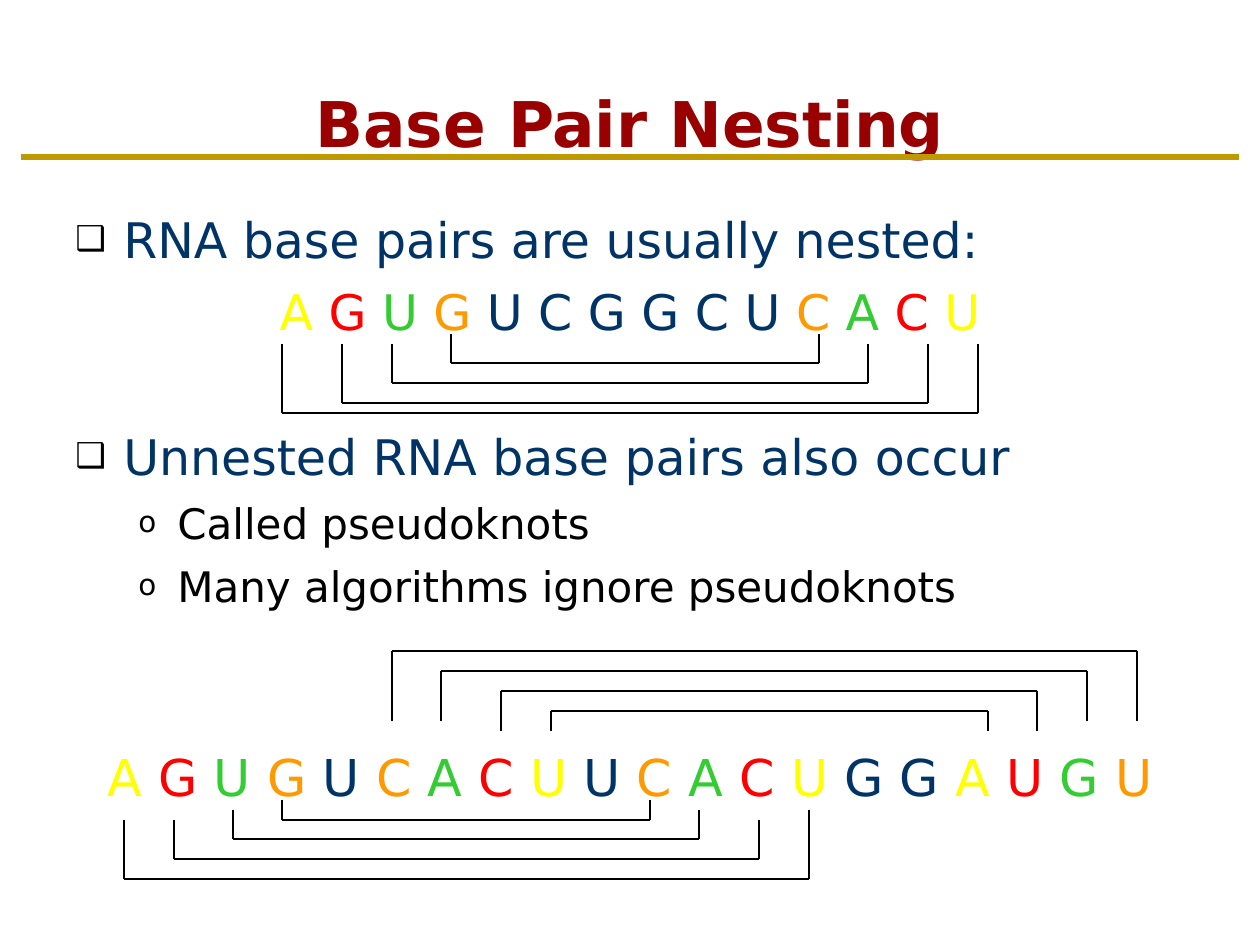
from dataclasses import dataclass

from lxml import etree
from pptx import Presentation
from pptx.dml.color import RGBColor
from pptx.enum import shapes, text
from pptx.oxml import ns
from pptx.util import Pt

PX = 914400 / 126
FONT = "DejaVu Sans"
BLACK = RGBColor(0x00, 0x00, 0x00)
NAVY = RGBColor(0x00, 0x33, 0x66)
MAROON = RGBColor(0x99, 0x00, 0x00)
GOLD = RGBColor(0xBE, 0x9A, 0x00)
HUES = {
    "Y": RGBColor(0xFF, 0xFF, 0x00),
    "R": RGBColor(0xFF, 0x00, 0x00),
    "G": RGBColor(0x33, 0xCC, 0x33),
    "O": RGBColor(0xFF, 0x99, 0x00),
    "N": NAVY,
}


@dataclass
class Pair:
    left: int
    right: int
    start: int
    bar: int
    end: int


@dataclass
class Item:
    words: str
    size: int
    gap: int
    color: RGBColor = NAVY
    mark: str = ""
    inset: int = 48
    hang: int = 48
    hues: str = ""


ITEMS = [
    Item("RNA base pairs are usually nested:", 28, 0, mark="❑"),
    Item("AGUGUCGGCUCACU", 28, 8, hues="YRGONNNNNNOGRY"),
    Item("Unnested RNA base pairs also occur", 28, 49, mark="❑"),
    Item("Called pseudoknots", 24, 7, BLACK, "o", 102, 39),
    Item("Many algorithms ignore pseudoknots", 24, 7, BLACK, "o", 102, 39),
    Item("AGUGUCACUUCACUGGAUGU", 29, 77, hues="YRGONOGRYNOGRYNNYRGO"),
]

PAIRS = [
    Pair(451, 819, 334, 363, 334),
    Pair(392, 868, 344, 383, 344),
    Pair(342, 928, 344, 403, 344),
    Pair(282, 978, 344, 413, 344),
    Pair(282, 650, 800, 820, 800),
    Pair(233, 699, 810, 839, 810),
    Pair(174, 759, 820, 859, 820),
    Pair(124, 809, 820, 879, 810),
    Pair(551, 988, 731, 711, 731),
    Pair(501, 1037, 731, 691, 731),
    Pair(441, 1087, 721, 671, 721),
    Pair(392, 1137, 721, 651, 721),
]


def px(n: int) -> int:
    return round(n * PX)


def place(shape, x: int, y: int, w: int, h: int) -> None:
    shape.left, shape.top, shape.width, shape.height = map(px, (x, y, w, h))


def set_frame(frame) -> None:
    frame.word_wrap = True
    frame.auto_size = text.MSO_AUTO_SIZE.NONE
    frame.vertical_anchor = text.MSO_ANCHOR.TOP


def add_run(para, words: str, size: int, color: RGBColor, bold: bool = False) -> None:
    run = para.add_run()
    run.text = words
    run.font.name = FONT
    run.font.size = Pt(size)
    run.font.bold = bold
    run.font.color.rgb = color


def add_mark(props, mark: str) -> None:
    hue = etree.SubElement(props, ns.qn("a:buClr"))
    etree.SubElement(hue, ns.qn("a:srgbClr"), val=str(BLACK))
    etree.SubElement(props, ns.qn("a:buSzPct"), val="70000")
    etree.SubElement(props, ns.qn("a:buFont"), typeface=FONT)
    etree.SubElement(props, ns.qn("a:buChar"), char=mark)


def add_item(para, item: Item) -> None:
    para.space_before = Pt(item.gap)
    props = para._p.get_or_add_pPr()
    props.set("marL", str(px(item.inset)))
    props.set("indent", str(-px(item.hang)))
    if item.mark:
        add_mark(props, item.mark)
    if item.hues:
        para.alignment = text.PP_ALIGN.CENTER
        last = len(item.words) - 1
        for i, (base, hue) in enumerate(zip(item.words, item.hues)):
            add_run(para, base + " " * (i < last), item.size, HUES[hue])
    else:
        add_run(para, item.words, item.size, item.color)


def add_line(tree, x: int, y: int, x2: int, y2: int, color: RGBColor, width: float) -> None:
    line = tree.add_connector(shapes.MSO_CONNECTOR.STRAIGHT, px(x), px(y), px(x2), px(y2))
    line.line.color.rgb = color
    line.line.width = Pt(width)
    etree.SubElement(line._element.spPr, ns.qn("a:effectLst"))


def add_pair(tree, pair: Pair) -> None:
    group = tree.add_group_shape().shapes
    dots = [(pair.left, pair.start), (pair.left, pair.bar),
            (pair.right, pair.bar), (pair.right, pair.end)]
    for a, b in zip(dots, dots[1:]):
        add_line(group, *a, *b, BLACK, 0.75)


def main() -> None:
    """Build the base pair nesting slide."""
    deck = Presentation()
    deck.slide_width, deck.slide_height = px(1260), px(945)
    slide = deck.slides.add_slide(deck.slide_layouts[5])
    tree = slide.shapes

    add_line(tree, 21, 157, 1239, 157, GOLD, 3)
    title = tree.title
    place(title, 21, 78, 1218, 116)
    set_frame(title.text_frame)
    head = title.text_frame.paragraphs[0]
    head.alignment = text.PP_ALIGN.CENTER
    add_run(head, "Base Pair Nesting", 36, MAROON, True)

    body = tree.add_textbox(0, 0, 0, 0)
    place(body, 63, 203, 1134, 630)
    frame = body.text_frame
    set_frame(frame)
    for i, item in enumerate(ITEMS):
        add_item(frame.add_paragraph() if i else frame.paragraphs[0], item)

    for pair in PAIRS:
        add_pair(tree, pair)
    deck.save("out.pptx")


if __name__ == "__main__":
    main()
